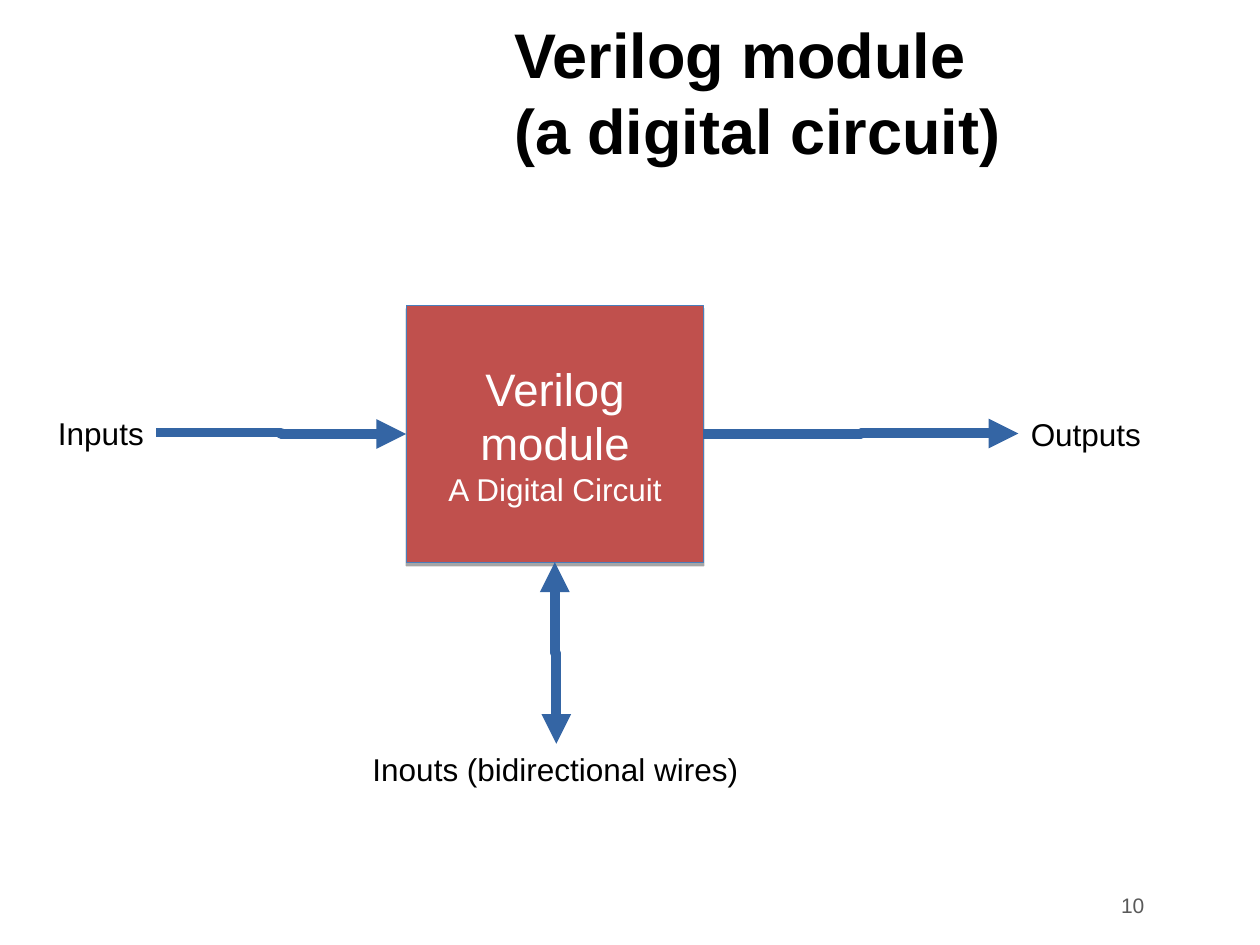
import pptx
import pptx.dml.color
import pptx.enum.shapes
import pptx.enum.text
import pptx.oxml
import pptx.oxml.ns
import pptx.util
from lxml import etree

Cm = pptx.util.Cm
Align = pptx.enum.text.PP_ALIGN
Anchor = pptx.enum.text.MSO_ANCHOR
AutoSize = pptx.enum.text.MSO_AUTO_SIZE
qn = pptx.oxml.ns.qn


def color(value):
    return pptx.dml.color.RGBColor.from_string(value)


def write(paragraph, text, size=18, fill="000000", bold=False, align=Align.LEFT):
    paragraph.text = text
    paragraph.alignment = align
    for run in paragraph.runs:
        run.font.name = "Arial"
        run.font.size = pptx.util.Pt(size)
        run.font.bold = bold
        run.font.color.rgb = color(fill)


def add_title(slide, text):
    title = slide.shapes.title
    title.left, title.top = Cm(10.11), Cm(0.03)
    title.width, title.height = Cm(11.2), Cm(3.61)
    frame = title.text_frame
    frame.auto_size = AutoSize.NONE
    frame.vertical_anchor = Anchor.MIDDLE
    write(frame.paragraphs[0], text, size=36, bold=True)


def add_label(slide, text, left, top, width):
    label = slide.shapes.add_textbox(Cm(left), Cm(top), Cm(width), Cm(1.02))
    label.text_frame.word_wrap = False
    label.text_frame.auto_size = AutoSize.NONE
    write(label.text_frame.paragraphs[0], text)


def add_module_box(slide):
    box = slide.shapes.add_shape(
        pptx.enum.shapes.MSO_SHAPE.RECTANGLE, Cm(8.19), Cm(6.16), Cm(6), Cm(5.18)
    )
    box.fill.solid()
    box.fill.fore_color.rgb = color("C0504D")
    box.line.color.rgb = color("4A7EBB")
    box.line.width = pptx.util.Pt(0.75)
    add_shadow(box)
    frame = box.text_frame
    frame.word_wrap = True
    frame.vertical_anchor = Anchor.MIDDLE
    white = {"fill": "FFFFFF", "align": Align.CENTER}
    write(frame.paragraphs[0], "Verilog module", size=26, **white)
    write(frame.add_paragraph(), "A Digital Circuit", **white)


def add_shadow(shape):
    shape.shadow.inherit = False
    effects = shape.element.spPr.find(qn("a:effectLst"))
    shadow = etree.SubElement(
        effects, qn("a:outerShdw"), blurRad="0", dist=str(pptx.util.Pt(1.8)),
        dir="5400000", rotWithShape="0",
    )
    black = etree.SubElement(shadow, qn("a:srgbClr"), val="000000")
    etree.SubElement(black, qn("a:alpha"), val="35000")


def add_arrow(slide, begin, end, ends=("tailEnd",), rotation=0):
    arrow = slide.shapes.add_connector(
        pptx.enum.shapes.MSO_CONNECTOR.ELBOW, *map(Cm, begin + end)
    )
    arrow.line.color.rgb = color("3465A4")
    arrow.line.width = pptx.util.Pt(5.67)
    properties = arrow.element.spPr
    line = properties.find(qn("a:ln"))
    for name in ends:
        etree.SubElement(line, qn("a:" + name), type="triangle")
    etree.SubElement(properties, qn("a:effectLst"))
    if rotation:
        properties.find(qn("a:xfrm")).set("rot", str(rotation * 60000))


def add_page_number(slide, text):
    number = slide.shapes.add_textbox(Cm(18.24), Cm(17.81), Cm(5.08), Cm(0.86))
    number.text_frame.word_wrap = True
    number.text_frame.vertical_anchor = Anchor.MIDDLE
    write(number.text_frame.paragraphs[0], text, size=12, fill="595959", align=Align.RIGHT)


def main():
    presentation = pptx.Presentation()
    presentation.slide_width, presentation.slide_height = Cm(25.4), Cm(19.05)
    slide = presentation.slides.add_slide(presentation.slide_layouts[5])
    add_title(slide, "Verilog module\v(a digital circuit)")
    add_module_box(slide)
    add_label(slide, "Inputs", 0.92, 8.22, 2.3)
    add_label(slide, "Outputs", 20.53, 8.24, 2.8)
    add_label(slide, "Inouts (bidirectional wires)", 7.26, 14.99, 8)
    add_arrow(slide, (14.18, 8.75), (20.53, 8.74))
    add_arrow(slide, (3.15, 8.72), (8.19, 8.75))
    add_arrow(slide, (13.03, 13.15), (9.37, 13.18), ends=("headEnd", "tailEnd"), rotation=270)
    add_page_number(slide, "10")
    presentation.save("out.pptx")


if __name__ == "__main__":
    main()
